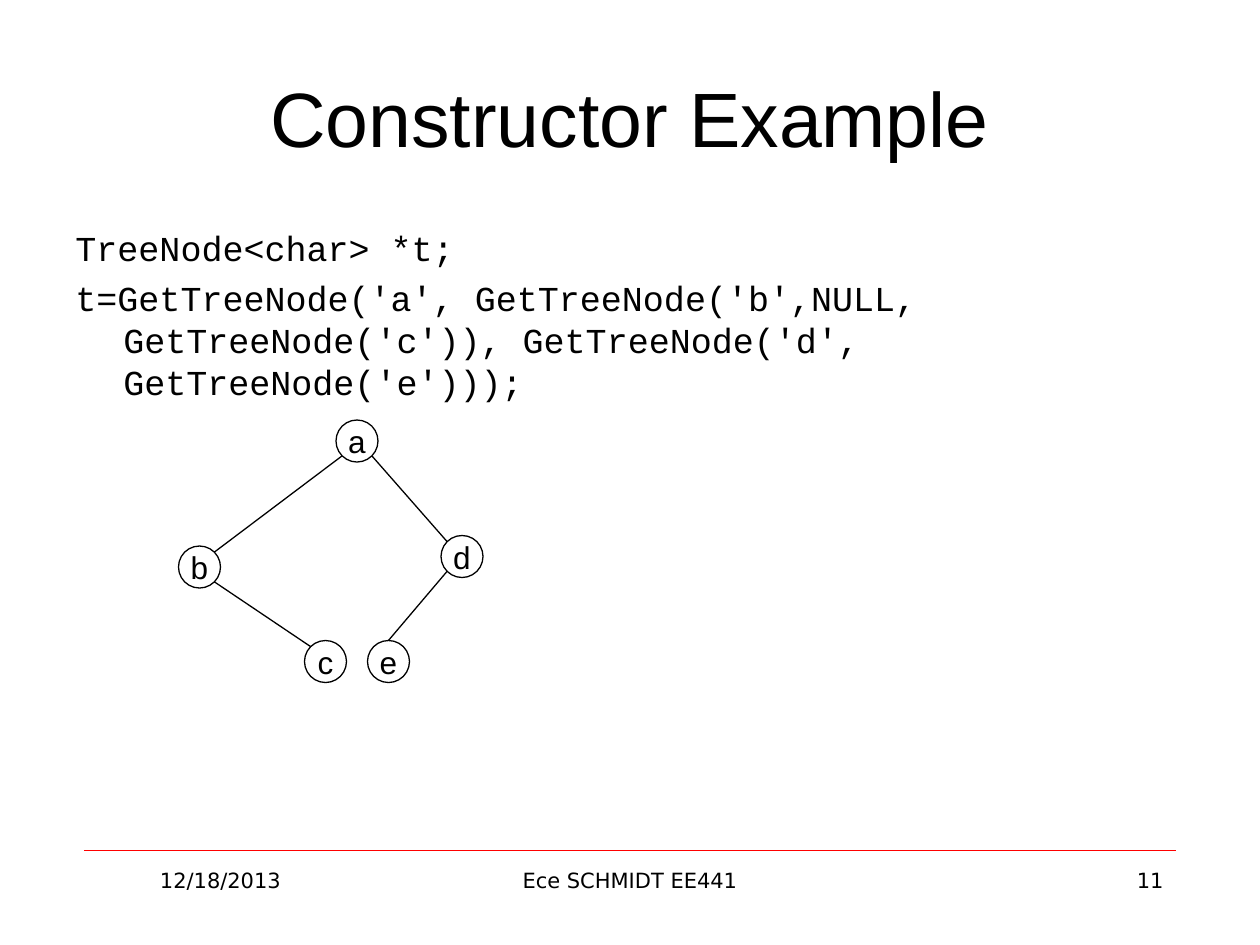
import math

import pptx
import pptx.dml.color
import pptx.enum.shapes
import pptx.enum.text
import pptx.oxml.ns
import pptx.util
from lxml import etree

BLACK = pptx.dml.color.RGBColor(0, 0, 0)
RED = pptx.dml.color.RGBColor(255, 0, 0)
ALIGN = pptx.enum.text.PP_ALIGN
ANCHOR = pptx.enum.text.MSO_ANCHOR
COLUMNS, ROWS = 120, 90
NODE_SIZE = 4

CODE = [
    "TreeNode<char> *t;",
    "t=GetTreeNode('a', GetTreeNode('b',NULL, GetTreeNode('c')), "
    "GetTreeNode('d', GetTreeNode('e')));",
]
FOOTERS = [
    ("12/18/2013", 8, 26, ALIGN.CENTER),
    ("Ece SCHMIDT EE441", 41, 38, ALIGN.CENTER),
    ("11", 86, 26, ALIGN.RIGHT),
]
NODES = {"a": (32, 40), "b": (17, 52), "c": (29, 61), "d": (42, 51), "e": (35, 61)}
DIAGONAL_EDGES = ["ab", "ad", "bc"]


def write_text(shape, *lines, font="Arial", size=18, align=ALIGN.LEFT,
               anchor=ANCHOR.TOP, wrap=True, hanging=0, space_before=0):
    frame = shape.text_frame
    frame.word_wrap = wrap
    frame.vertical_anchor = anchor
    frame.text = "\n".join(lines)
    for paragraph in frame.paragraphs:
        paragraph.alignment = align
        paragraph.space_before = pptx.util.Pt(space_before)
        paragraph.font.name = font
        paragraph.font.size = pptx.util.Pt(size)
        paragraph.font.color.rgb = BLACK
        if hanging:
            properties = paragraph._p.get_or_add_pPr()
            properties.set("marL", str(pptx.util.Inches(hanging)))
            properties.set("indent", str(-pptx.util.Inches(hanging)))


class TreeSlide:
    def __init__(self, presentation):
        self.column = presentation.slide_width / COLUMNS
        self.row = presentation.slide_height / ROWS
        self.slide = presentation.slides.add_slide(presentation.slide_layouts[5])
        self.nodes = {}

    def box(self, column, row, width, height):
        return (round(column * self.column), round(row * self.row),
                round(width * self.column), round(height * self.row))

    def title(self, text, *area):
        shape = self.slide.shapes.title
        shape.left, shape.top, shape.width, shape.height = self.box(*area)
        write_text(shape, text, size=44, align=ALIGN.CENTER, anchor=ANCHOR.MIDDLE)

    def text(self, lines, *area, **style):
        write_text(self.slide.shapes.add_textbox(*self.box(*area)), *lines, **style)

    def line(self, start, end, color=BLACK, width=0.75):
        points = self.box(*start, *end)
        connector = self.slide.shapes.add_connector(
            pptx.enum.shapes.MSO_CONNECTOR.STRAIGHT, *points)
        connector.line.color.rgb = color
        connector.line.width = pptx.util.Pt(width)
        etree.SubElement(connector._element.spPr, pptx.oxml.ns.qn("a:effectLst"))
        return connector

    def node(self, label, column, row):
        shape = self.slide.shapes.add_shape(
            pptx.enum.shapes.MSO_SHAPE.OVAL,
            *self.box(column, row, NODE_SIZE, NODE_SIZE))
        shape.shadow.inherit = False
        shape.fill.background()
        shape.line.color.rgb = BLACK
        shape.line.width = pptx.util.Pt(0.75)
        write_text(shape, label, align=ALIGN.CENTER, anchor=ANCHOR.MIDDLE, wrap=False)
        self.nodes[label] = shape

    def rim(self, label, horizontal, vertical):
        column, row = NODES[label]
        radius = NODE_SIZE / 2
        reach = radius * math.sqrt(0.5)
        return (column + radius + horizontal * reach, row + radius + vertical * reach)

    def edge(self, parent, child):
        side = 1 if NODES[child][0] > NODES[parent][0] else -1
        return self.line(self.rim(parent, side, 1), self.rim(child, -side, -1))


def main():
    presentation = pptx.Presentation()
    presentation.slide_width = pptx.util.Inches(10)
    presentation.slide_height = pptx.util.Inches(7.5)
    page = TreeSlide(presentation)

    page.line((8, 81), (112, 81), color=RED, width=0.25)
    page.title("Constructor Example", 6, 3.6, 108, 15)
    for text, column, width, align in FOOTERS:
        page.text([text], column, 82, width, 6.2,
                  font="DejaVu Sans", size=12, align=align)
    page.text(CODE, 6, 21, 106, 28, font="Courier New", size=20,
              hanging=0.38, space_before=4.5)

    for label, (column, row) in NODES.items():
        page.node(label, column, row)
    for parent, child in DIAGONAL_EDGES:
        page.edge(parent, child)
    page.edge("d", "e").end_connect(page.nodes["e"], 0)

    presentation.save("out.pptx")


if __name__ == "__main__":
    main()
